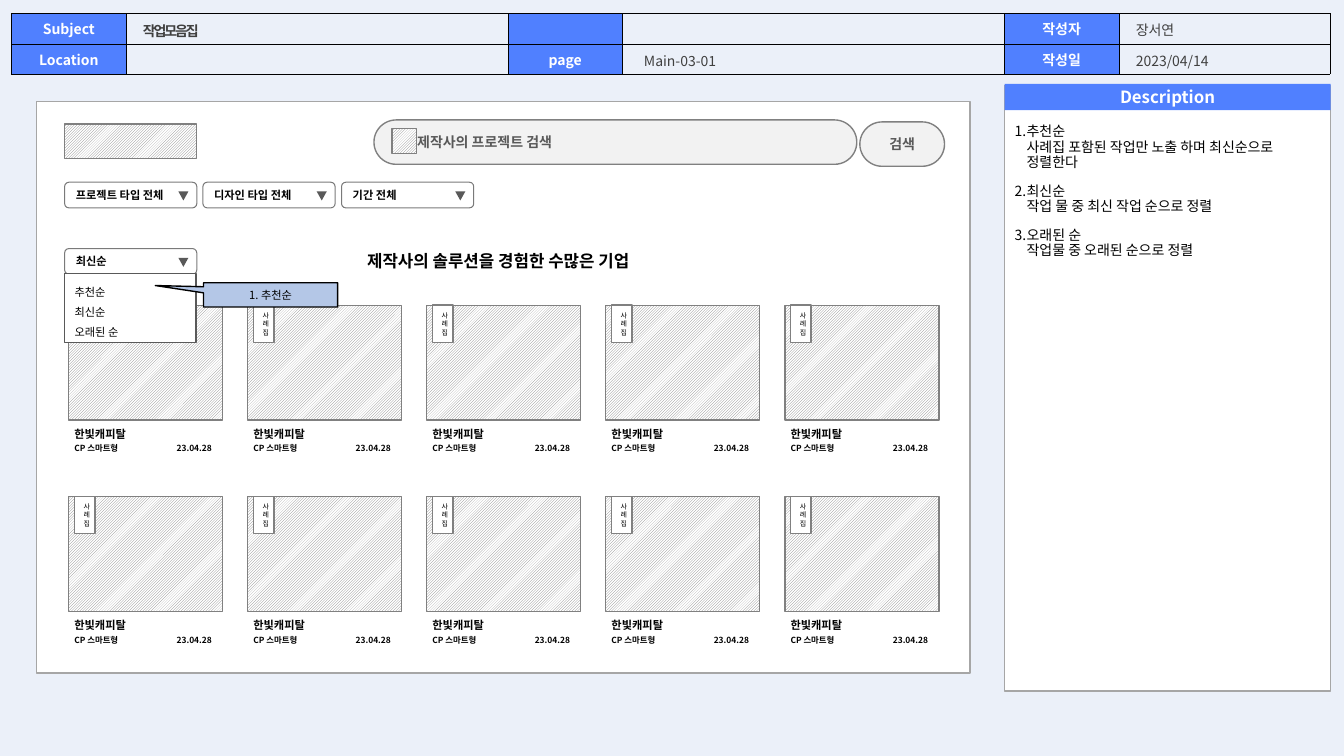
import pptx
import pptx.dml.color
import pptx.enum.dml
import pptx.enum.shapes
import pptx.enum.text
import pptx.oxml
import pptx.oxml.ns
import pptx.util

Pt = pptx.util.Pt
SHAPE = pptx.enum.shapes.MSO_SHAPE
ALIGN = pptx.enum.text.PP_ALIGN
ANCHOR = pptx.enum.text.MSO_ANCHOR
FONT = "Noto Sans CJK KR"
BLUE, WHITE, BLACK, GRAY, DARK = "5080FF", "FFFFFF", "000000", "808080", "404040"
HATCH = "hatch"


def color(value):
    return pptx.dml.color.RGBColor.from_string(value)


def part(kind, box, lines=(), fill=None, line=None, width=1, size=10, ink=BLACK,
         bold=False, frame=None, paragraph=None):
    left, top, wide, high = (Pt(value) for value in box)
    if kind is None:
        item = slide.shapes.add_textbox(left, top, wide, high)
    else:
        item = slide.shapes.add_shape(kind, left, top, wide, high)
        item.shadow.inherit = False
        if fill == HATCH:
            item.fill.patterned()
            item.fill.pattern = pptx.enum.dml.MSO_PATTERN.LIGHT_UPWARD_DIAGONAL
            item.fill.fore_color.rgb = color(GRAY)
            item.fill.back_color.rgb = color(WHITE)
        elif fill:
            item.fill.solid()
            item.fill.fore_color.rgb = color(fill)
        else:
            item.fill.background()
        if line:
            item.line.color.rgb = color(line)
            item.line.width = Pt(width)
        else:
            item.line.fill.background()
    text_frame = item.text_frame
    default_anchor = ANCHOR.TOP if kind is None else ANCHOR.MIDDLE
    frame_format = {"word_wrap": True, "vertical_anchor": default_anchor, **(frame or {})}
    for name, value in frame_format.items():
        setattr(text_frame, name, value)
    for index, words in enumerate(lines):
        current = text_frame.add_paragraph() if index else text_frame.paragraphs[0]
        current.text = words
        for name, value in {"alignment": ALIGN.LEFT, **(paragraph or {})}.items():
            setattr(current, name, value)
        for run in current.runs:
            for name, value in {"name": FONT, "size": Pt(size), "bold": bold}.items():
                setattr(run.font, name, value)
            run.font.color.rgb = color(ink)
            east_asian = run._r.get_or_add_rPr().makeelement(pptx.oxml.ns.qn("a:ea"), {"typeface": FONT})
            run.font._element.append(east_asian)
    return item


deck = pptx.Presentation()
deck.slide_width, deck.slide_height = Pt(960), Pt(540)
slide = deck.slides.add_slide(deck.slide_layouts[6])
slide.background.fill.solid()
slide.background.fill.fore_color.rgb = color("EBF0F9")
centered = {"alignment": ALIGN.CENTER}
tight = {"line_spacing": 0.9}

part(SHAPE.RECTANGLE, (717.6, 61.2, 232.8, 432.4), fill=WHITE, line="A6A6A6")

header_rows = [["Subject", "", "", "", "작성자", ""],
               ["Location", "", "page", "", "작성일", ""]]
header_widths = [82, 272.8, 81.6, 272.8, 82, 150.6]
header = slide.shapes.add_table(2, 6, Pt(8.2), Pt(9.5), Pt(941.8), Pt(43.6)).table
header.first_row = header.horz_banding = False
for column, width in zip(header.columns, header_widths):
    column.width = Pt(width)
for row, labels in enumerate(header_rows):
    header.rows[row].height = Pt(21.8)
    for column, label in enumerate(labels):
        cell = header.cell(row, column)
        cell.margin_top = cell.margin_bottom = 0
        cell.vertical_anchor = ANCHOR.MIDDLE
        for side in ("lnL", "lnR", "lnT", "lnB"):
            cell._tc.get_or_add_tcPr().append(pptx.oxml.parse_xml(
                f'<a:{side} {pptx.oxml.ns.nsdecls("a")} w="3175"><a:solidFill>'
                f'<a:srgbClr val="{BLACK}"/></a:solidFill></a:{side}>'))
        if column % 2 == 0:
            cell.fill.solid()
            cell.fill.fore_color.rgb = color(BLUE)
        else:
            cell.fill.background()
        caption = cell.text_frame.paragraphs[0]
        caption.alignment = ALIGN.CENTER
        if label:
            run = caption.add_run()
            run.text = label
            for name, value in {"name": FONT, "size": Pt(10), "bold": True}.items():
                setattr(run.font, name, value)
            run.font.color.rgb = color(WHITE)
        else:
            caption._p.get_or_add_endParaRPr().set("sz", "1000")

part(None, (804.2, 11.5, 118.8, 19.4), ["장서연"], ink=DARK)
part(SHAPE.RECTANGLE, (717.6, 60, 232.8, 18.7), ["Description"], BLUE,
     size=12, ink=WHITE, bold=True, paragraph=centered)
part(SHAPE.RECTANGLE, (26.1, 72.7, 666.7, 408), fill=WHITE, line="A6A6A6")

notes = ["추천순\v사례집 포함된 작업만 노출 하며 최신순으로 정렬한다",
         "최신순\v작업 물 중 최신 작업 순으로 정렬",
         "오래된 순\v작업물 중 오래된 순으로 정렬"]
description = part(None, (717.6, 85.7, 232.8, 408.2), notes, paragraph=tight)
for index, note in enumerate(description.text_frame.paragraphs):
    if index:
        note.space_before = Pt(10)
    properties = note._p.get_or_add_pPr()
    properties.set("marL", str(Pt(8.64)))
    properties.set("indent", str(-Pt(8.64)))
    properties.append(pptx.oxml.parse_xml(
        f'<a:buAutoNum {pptx.oxml.ns.nsdecls("a")} type="arabicPeriod"/>'))

subject = part(None, (95, 15.1, 198, 15.1), ["작업모음집"], ink=DARK, bold=True,
               frame={"vertical_anchor": ANCHOR.MIDDLE}, paragraph=tight)
subject.text_frame.paragraphs[0].runs[0].font._element.set("spc", "-150")
for left, words in [(804.2, "2023/04/14"), (452.9, "Main-03-01")]:
    part(None, (left, 35.3, 118.8, 15.1), [words], ink=DARK, paragraph=tight)

part(SHAPE.RECTANGLE, (46.2, 88.6, 94.4, 24.5), fill=HATCH, line=GRAY)

dropdowns = [(46.2, 130.2, "프로젝트 타입 전체"), (145, 130.2, "디자인 타입 전체"),
             (244, 130.2, "기간 전체"), (46.2, 177.6, "최신순")]
for left, top, choice in dropdowns:
    part(SHAPE.ROUNDED_RECTANGLE, (left, top, 94.4, 18.3), [choice],
         line="7A7A7A", width=0.75, size=8, bold=True)
    arrow = part(SHAPE.ISOSCELES_TRIANGLE, (left + 81.2, top + 6.5, 7.2, 6.5), fill="595959")
    arrow.rotation = 180

part(None, (133.9, 175.7, 444.2, 21.6), ["제작사의 솔루션을 경험한 수많은 기업"],
     size=12, bold=True, paragraph=centered)

search_parts = [((267.1, 85.7, 344.9, 31.7), "제작사의 프로젝트 검색", ALIGN.LEFT, 26.3),
                ((614.2, 87.1, 60.5, 31.7), "검색", ALIGN.CENTER, 7.2)]
for box, words, alignment, inset in search_parts:
    pill = part(SHAPE.ROUNDED_RECTANGLE, box, [words], "F2F2F2", GRAY, ink="595959", bold=True,
                frame={"margin_left": Pt(inset)}, paragraph={"alignment": alignment})
    pill.adjustments[0] = 0.5
part(SHAPE.RECTANGLE, (280, 92, 17.5, 17.8), fill=HATCH, line=GRAY)

for index in range(10):
    row, column = divmod(index, 5)
    left, top = 49 + 127.9 * column, 218 + 136.6 * row
    part(SHAPE.RECTANGLE, (left, top, 110, 82), fill=HATCH, line=GRAY)
    part(None, (left - 3, top + 83.5, 90.7, 17.3), ["한빛캐피탈"], size=8, bold=True)
    part(None, (left - 3, top + 95.2, 48.2, 14.4), ["CP 스마트형"], size=6, bold=True,
         frame={"margin_right": 0})
    part(None, (left + 61.2, top + 95.2, 48.2, 14.4), ["23.04.28"], size=6, bold=True,
         paragraph={"alignment": ALIGN.RIGHT})
    tag = part(SHAPE.ROUND_2_DIAG_RECTANGLE, (left + 4.2, top, 14.6, 26.7), ["사례집"],
               WHITE, GRAY, size=5, paragraph=centered,
               frame={"margin_left": Pt(6), "margin_right": Pt(3)})
    tag.adjustments[0] = tag.adjustments[1] = 0

part(SHAPE.RECTANGLE, (46.2, 195.2, 93.8, 49.5), ["추천순", "최신순", "오래된 순"],
     WHITE, "595959", size=8, frame={"vertical_anchor": ANCHOR.TOP},
     paragraph={"line_spacing": 1.5})
callout = part(SHAPE.RECTANGULAR_CALLOUT, (145.4, 202, 95.8, 17.3), ["1. 추천순"],
               "B4C7E7", BLACK, size=8, paragraph=centered)
callout.adjustments[0], callout.adjustments[1] = -0.859, -0.385

deck.save("out.pptx")
